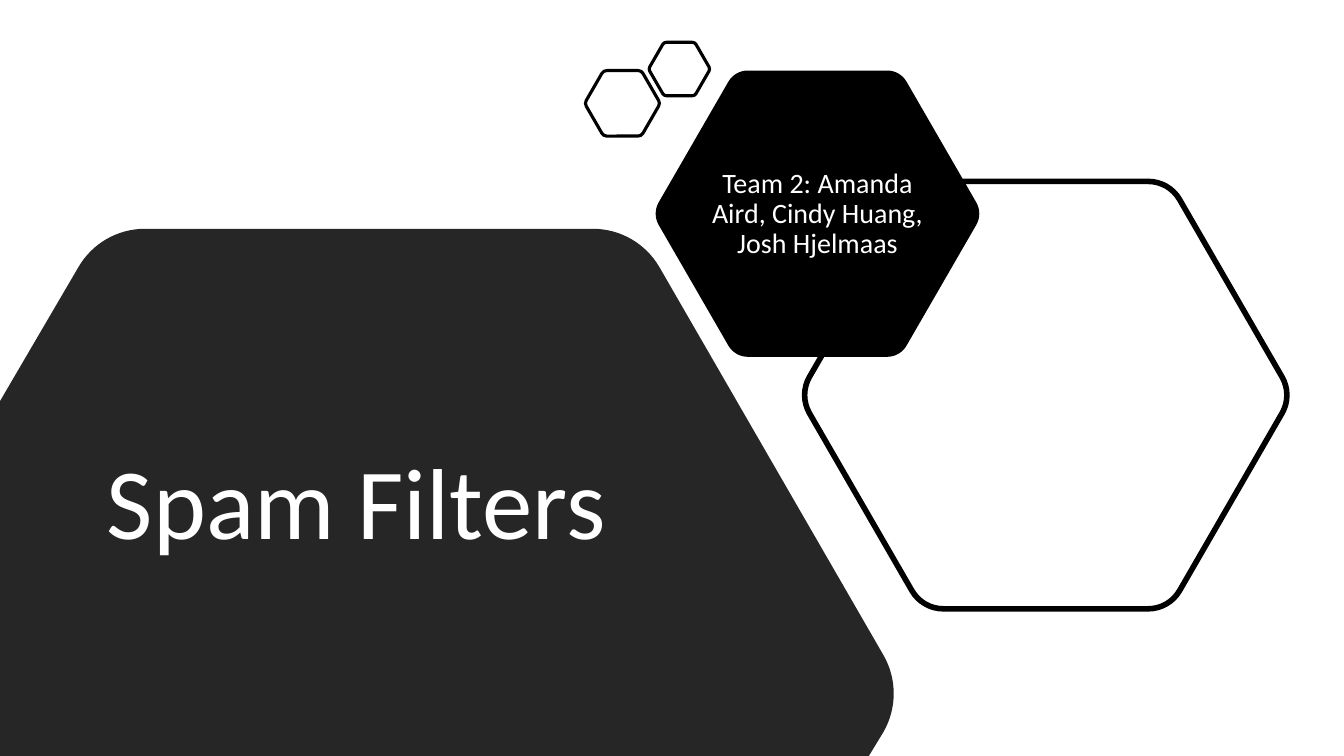
"""Build the "Spam Filters" title slide out of rounded hexagons."""
from dataclasses import dataclass
from math import cos, pi, sin, sqrt, tan

from pptx import Presentation
from pptx.dml.color import RGBColor
from pptx.enum.text import MSO_ANCHOR as Anchor, MSO_AUTO_SIZE as AutoSize, PP_ALIGN as Align
from pptx.oxml.ns import qn
from pptx.oxml.xmlchemy import OxmlElement
from pptx.util import Pt

Point = tuple[float, float]


@dataclass(frozen=True)
class Theme:
    font: str = "Calibri"
    dark: RGBColor = RGBColor(0x26, 0x26, 0x26)
    black: RGBColor = RGBColor(0, 0, 0)
    white: RGBColor = RGBColor(255, 255, 255)
    title_size: float = 72
    team_size: float = 20
    line_spacing: float = 0.9


@dataclass(frozen=True)
class Hexagon:
    center: Point
    half_height: float
    corner_radius: float
    fill: RGBColor | None = None
    line_width: float = 0
    corners: tuple[int, ...] = (0, 1, 2, 3, 4, 5)
    slide_edge: tuple[Point, ...] = ()


@dataclass(frozen=True)
class Label:
    text: str
    box: tuple[float, float, float, float]
    size: float
    align: Align
    auto_size: AutoSize
    space_before: float = 0


THEME = Theme()
SLIDE_WIDTH, SLIDE_HEIGHT = 960, 540
HEXAGONS = [
    Hexagon((747, 282.24), 152.64, 26, line_width=4),
    Hexagon((583.92, 152.64), 102.24, 16, THEME.black),
    Hexagon((263.52, 495.44), 332, 55, THEME.dark, corners=(4, 5, 0),
            slide_edge=((620.64, SLIDE_HEIGHT), (0, SLIDE_HEIGHT), (0, 286.56))),
    Hexagon((444.6, 73.8), 23.4, 4, line_width=2.25),
    Hexagon((485.28, 49.32), 19.08, 3, line_width=2.25),
]
TITLE = Label("Spam Filters", (69.12, 233.28, 403.2, 257.04), THEME.title_size,
              Align.LEFT, AutoSize.NONE)
TEAM = Label("Team 2: Amanda Aird, Cindy Huang, Josh Hjelmaas",
             (496.5, 105.84, 174.96, 94.32), THEME.team_size,
             Align.CENTER, AutoSize.TEXT_TO_FIT_SHAPE, 10)


def corner_curve(hexagon: Hexagon, corner: int) -> list[Point]:
    """Return the start, two control points and end of a corner curve."""
    radius = hexagon.corner_radius
    arc_distance = (hexagon.half_height - radius) * 2 / sqrt(3)
    handle = radius * 4 / 3 * tan(pi / 12)
    direction = corner * pi / 3
    arc_x = hexagon.center[0] + arc_distance * cos(direction)
    arc_y = hexagon.center[1] + arc_distance * sin(direction)

    def place(angle: float, pull: float) -> Point:
        """Return a point on the arc, moved along its tangent."""
        return (arc_x + radius * cos(angle) - pull * sin(angle),
                arc_y + radius * sin(angle) + pull * cos(angle))

    start, end = direction - pi / 6, direction + pi / 6
    return [place(start, 0), place(start, handle), place(end, -handle), place(end, 0)]


def bend_corners(shape, corner_count: int) -> None:
    """Turn the three segments at each corner into one Bézier curve."""
    outline = shape.element.find(".//" + qn("a:path"))
    segments = list(outline)
    for first in range(1, corner_count * 4, 4):
        curve = OxmlElement("a:cubicBezTo")
        segments[first].addprevious(curve)
        for segment in segments[first:first + 3]:
            curve.append(segment[0])
            outline.remove(segment)


def draw_hexagon(slide, hexagon: Hexagon) -> None:
    """Draw one rounded hexagon."""
    points = [point for corner in hexagon.corners for point in corner_curve(hexagon, corner)]
    points.extend(hexagon.slide_edge)
    first, *rest = [(Pt(x), Pt(y)) for x, y in points]
    builder = slide.shapes.build_freeform(*first)
    builder.add_line_segments(rest, close=True)
    shape = builder.convert_to_shape()
    bend_corners(shape, len(hexagon.corners))
    shape.shadow.inherit = False
    if hexagon.fill is None:
        shape.fill.background()
    else:
        shape.fill.solid()
        shape.fill.fore_color.rgb = hexagon.fill
    if hexagon.line_width:
        shape.line.color.rgb = THEME.black
        shape.line.width = Pt(hexagon.line_width)
    else:
        shape.line.fill.background()


def write_label(shape, label: Label) -> None:
    """Place a text shape and fill it with its formatted label."""
    shape.left, shape.top, shape.width, shape.height = map(Pt, label.box)
    frame = shape.text_frame
    frame.word_wrap = True
    frame.auto_size = label.auto_size
    frame.vertical_anchor = Anchor.MIDDLE
    paragraph = frame.paragraphs[0]
    paragraph.alignment = label.align
    paragraph.line_spacing = THEME.line_spacing
    paragraph.space_before = Pt(label.space_before)
    run = paragraph.add_run()
    run.text = label.text
    run.font.name = THEME.font
    run.font.size = Pt(label.size)
    run.font.color.rgb = THEME.white


def main() -> None:
    """Build and save the presentation."""
    presentation = Presentation()
    presentation.slide_width = Pt(SLIDE_WIDTH)
    presentation.slide_height = Pt(SLIDE_HEIGHT)
    slide = presentation.slides.add_slide(presentation.slide_layouts.get_by_name("Title Only"))
    for hexagon in HEXAGONS:
        draw_hexagon(slide, hexagon)
    title = slide.shapes.title
    title.element.getparent().append(title.element)
    write_label(title, TITLE)
    write_label(slide.shapes.add_textbox(*map(Pt, TEAM.box)), TEAM)
    presentation.save("out.pptx")


if __name__ == "__main__":
    main()
